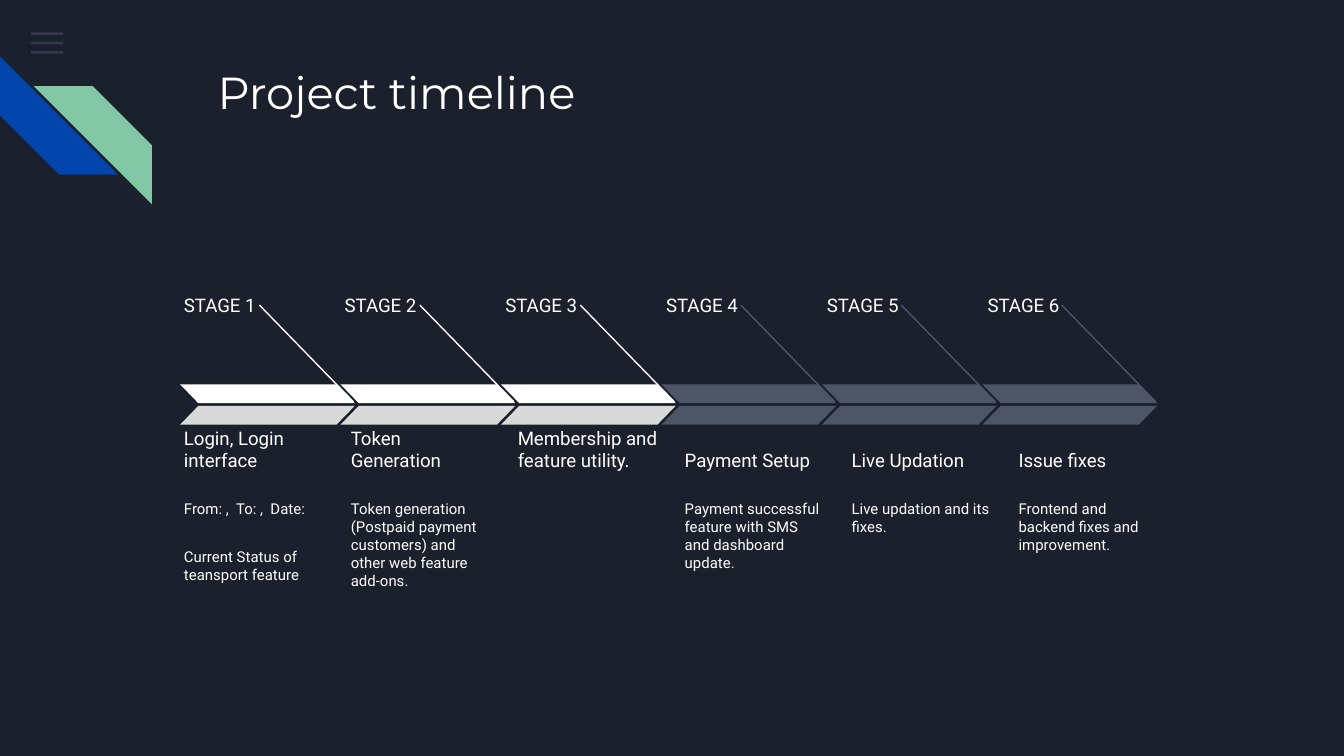
"""Build a six-stage project timeline slide."""
from dataclasses import dataclass

from lxml import etree
from pptx import Presentation
from pptx.dml.color import RGBColor
from pptx.enum.shapes import MSO_CONNECTOR, MSO_SHAPE
from pptx.enum.text import MSO_ANCHOR, MSO_AUTO_SIZE, PP_ALIGN
from pptx.oxml.ns import qn
from pptx.util import Inches, Pt

STRAIGHT = MSO_CONNECTOR.STRAIGHT
RECTANGLE = MSO_SHAPE.RECTANGLE
STRIPE = MSO_SHAPE.DIAGONAL_STRIPE
PARALLELOGRAM = MSO_SHAPE.PARALLELOGRAM
TOP, BOTTOM = MSO_ANCHOR.TOP, MSO_ANCHOR.BOTTOM
NO_AUTOFIT = MSO_AUTO_SIZE.NONE
LEFT = PP_ALIGN.LEFT

BACKGROUND, WHITE, LIGHT_GREY, SLATE = "1B212C", "FFFFFF", "D9D9D9", "4E5567"
BLUE, GREEN, MENU_BLUE = "0145AC", "82C7A5", "55688B"
SLIDE_WIDTH = 10
SLIDE_HEIGHT = SLIDE_WIDTH * 9 / 16
TEXT_LEFT, ARROW_LEFT = 1.27, 1.34
LABEL_PITCH = (7.25 - TEXT_LEFT) / 5
COLUMN_PITCH = (7.48 - TEXT_LEFT) / 5
ARROW_PITCH = (7.31 - ARROW_LEFT) / 5


@dataclass
class Stage:
    """Texts and arrow colours of one timeline stage."""

    heading: str
    details: tuple[str, ...]
    upper: str
    lower: str


STAGES = [
    Stage("Login, Login interface",
          ("From: ,  To: ,  Date:", "Current Status of teansport feature"), WHITE, LIGHT_GREY),
    Stage("Token Generation",
          ("Token generation (Postpaid payment customers) and other web feature add-ons.",),
          WHITE, LIGHT_GREY),
    Stage("Membership and feature utility.", (), WHITE, LIGHT_GREY),
    Stage("Payment Setup",
          ("Payment successful feature with SMS and dashboard update.",), SLATE, SLATE),
    Stage("Live Updation", ("Live updation and its fixes.",), SLATE, SLATE),
    Stage("Issue fixes", ("Frontend and backend fixes and improvement.",), SLATE, SLATE),
]


def color(value: str) -> RGBColor:
    """Convert a hex string to a colour."""
    return RGBColor.from_string(value)


def place(shape, left: float, top: float, width: float, height: float) -> None:
    """Position a shape in inches."""
    shape.left, shape.top = Inches(left), Inches(top)
    shape.width, shape.height = Inches(width), Inches(height)


def add_filled(slide, kind, box: tuple, fill: str, adjustment: float | None = None,
               flipped: bool = False):
    """Add a preset shape with a solid fill and no outline."""
    shape = slide.shapes.add_shape(kind, *(Inches(value) for value in box))
    shape.shadow.inherit = False
    shape.fill.solid()
    shape.fill.fore_color.rgb = color(fill)
    shape.line.fill.background()
    if adjustment is not None:
        shape.adjustments[0] = adjustment
    if flipped:
        shape._element.spPr.find(qn("a:xfrm")).set("flipH", "1")
    return shape


def format_text(text_frame, size: float, font: str, anchor) -> None:
    """Apply the common text style to a whole frame."""
    text_frame.word_wrap = True
    text_frame.auto_size = NO_AUTOFIT
    text_frame.vertical_anchor = anchor
    text_frame.margin_left = text_frame.margin_right = Inches(0.1)
    text_frame.margin_top = text_frame.margin_bottom = Inches(0.1)
    for paragraph in text_frame.paragraphs:
        paragraph.alignment = LEFT
        for run in paragraph.runs:
            run.font.size = Pt(size)
            run.font.name = font
            run.font.color.rgb = color(WHITE)


def add_text(slide, box: tuple, lines: tuple[str, ...], size: float, anchor=TOP) -> None:
    """Add a text box with one paragraph per line."""
    text_frame = slide.shapes.add_textbox(*(Inches(value) for value in box)).text_frame
    text_frame.text = "\n".join(lines)
    for paragraph in text_frame.paragraphs[1:]:
        paragraph.space_before = Pt(16)
    format_text(text_frame, size, "Roboto", anchor)


def add_leader(slide, left: float, line_color: str) -> None:
    """Add the slanted line from a stage label to its arrow."""
    connector = slide.shapes.add_connector(
        STRAIGHT, Inches(left), Inches(2.27), Inches(left + 0.7), Inches(2.99))
    connector.line.color.rgb = color(line_color)
    connector.line.width = Pt(0.75)
    etree.SubElement(connector._element.spPr, qn("a:effectLst"))


def add_decoration(slide) -> None:
    """Draw the menu bars and the two diagonal stripes."""
    for index in range(3):
        bar = add_filled(slide, RECTANGLE, (0.23, 0.24 + 0.07 * index, 0.24, 0.02), MENU_BLUE)
        bar_color = bar._element.spPr.find(qn("a:solidFill"))[0]
        etree.SubElement(bar_color, qn("a:alpha")).set("val", "36000")
    stripe = add_filled(slide, STRIPE, (0, 0.42, 0.88, 0.88), BLUE, 0.5)
    stripe.rotation = 270
    add_filled(slide, STRIPE, (0.25, 0.64, 0.88, 0.88), GREEN, 0.5, flipped=True)


def add_stage(slide, index: int, stage: Stage) -> None:
    """Draw one stage with its label, arrow and texts."""
    label_left = TEXT_LEFT + LABEL_PITCH * index
    column_left = TEXT_LEFT + COLUMN_PITCH * index
    arrow_left = ARROW_LEFT + ARROW_PITCH * index
    add_text(slide, (label_left, 2.09, 0.8, 0.23), (f"STAGE {index + 1}",), 10)
    add_text(slide, (column_left, 3.17, COLUMN_PITCH, 0.44), (stage.heading,), 10, BOTTOM)
    if stage.details:
        add_text(slide, (column_left, 3.62, COLUMN_PITCH, 0.73), stage.details, 8)
    add_leader(slide, arrow_left + 0.59, stage.upper)
    add_filled(slide, PARALLELOGRAM, (arrow_left, 2.86, 1.3, 0.14), stage.upper, 0.97,
               flipped=True)
    add_filled(slide, PARALLELOGRAM, (arrow_left, 3.02, 1.3, 0.14), stage.lower, 0.97)


def main() -> None:
    """Create and save the presentation."""
    presentation = Presentation()
    presentation.slide_width = Inches(SLIDE_WIDTH)
    presentation.slide_height = Inches(SLIDE_HEIGHT)
    slide = presentation.slides.add_slide(presentation.slide_layouts[5])
    slide.background.fill.solid()
    slide.background.fill.fore_color.rgb = color(BACKGROUND)
    add_decoration(slide)
    title = slide.shapes.title
    place(title, 1.52, 0.38, 7.7, 1)
    title.text_frame.text = "Project timeline"
    format_text(title.text_frame, 24, "Montserrat", TOP)
    for index, stage in enumerate(STAGES):
        add_stage(slide, index, stage)
    presentation.save("out.pptx")


if __name__ == "__main__":
    main()
